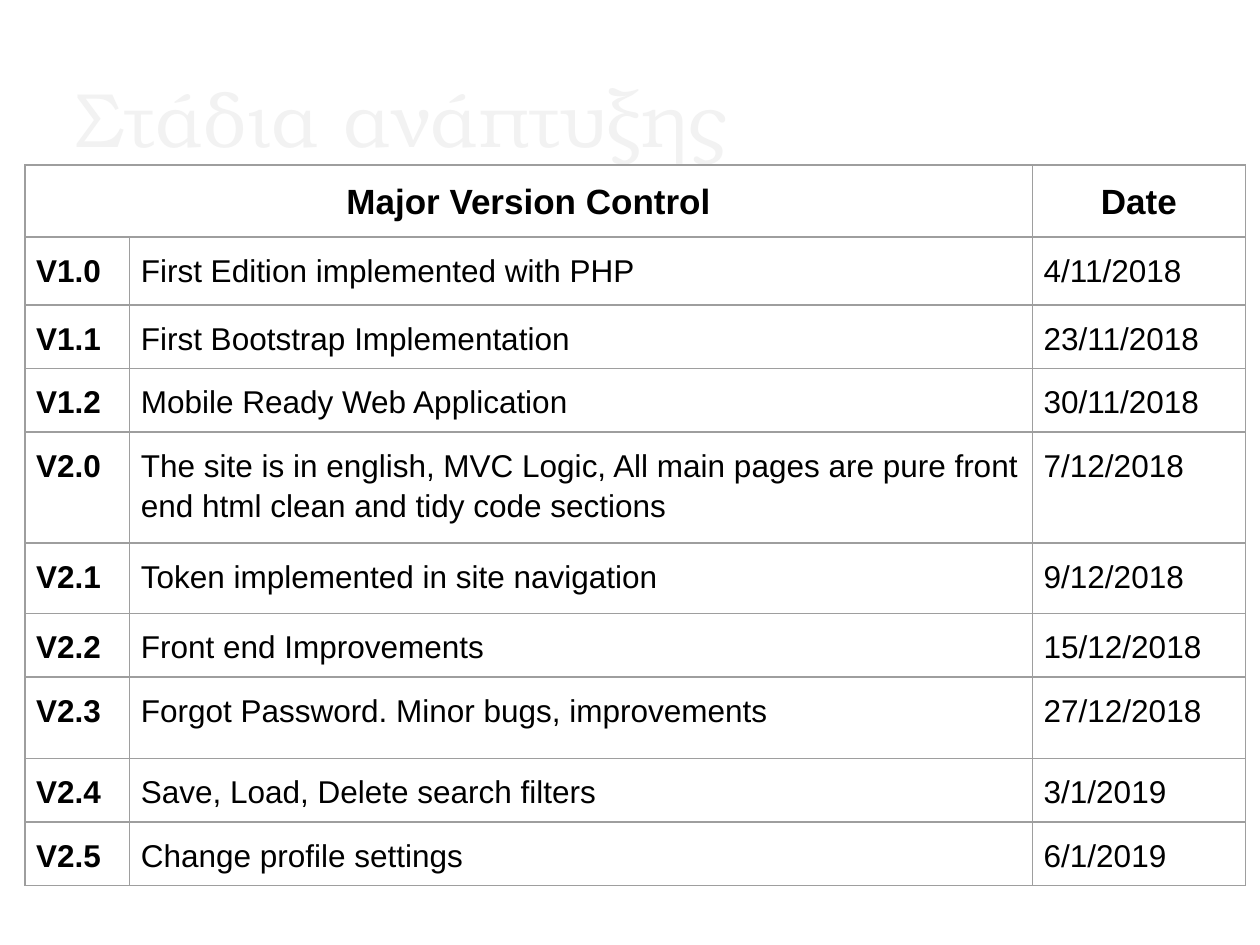
"""Build a slide with the version history of a web application."""
from typing import NamedTuple

from lxml.etree import SubElement
from pptx import Presentation
from pptx.dml.color import RGBColor
from pptx.enum.text import MSO_ANCHOR, PP_ALIGN
from pptx.oxml.ns import qn
from pptx.util import Cm, Pt

COLORS = {"title": "F2F2F2", "text": "000000", "border": "9E9E9E"}
COL_WIDTHS = (2.11, 18.2, 4.3)


class Version(NamedTuple):
    name: str
    change: str
    date: str
    height: float


HEADER = Version("Major Version Control", "", "Date", 1.45)
VERSIONS = [
    Version("V1.0", "First Edition implemented with PHP", "4/11/2018", 1.37),
    Version("V1.1", "First Bootstrap Implementation", "23/11/2018", 1.25),
    Version("V1.2", "Mobile Ready Web Application", "30/11/2018", 1.25),
    Version("V2.0", "The site is in english, MVC Logic, All main pages are pure front "
            "end html clean and tidy code sections", "7/12/2018", 2.24),
    Version("V2.1", "Token implemented in site navigation", "9/12/2018", 1.42),
    Version("V2.2", "Front end Improvements", "15/12/2018", 1.25),
    Version("V2.3", "Forgot Password. Minor bugs, improvements", "27/12/2018", 1.65),
    Version("V2.4", "Save, Load, Delete search filters", "3/1/2019", 1.25),
    Version("V2.5", "Change profile settings", "6/1/2019", 1.25),
]


def set_font(p, name: str, size: int, color: str, bold: bool = False) -> None:
    font = p.font
    font.name, font.size, font.bold = name, Pt(size), bold
    font.color.rgb = RGBColor.from_string(COLORS[color])


def add_borders(cell) -> None:
    tc_pr = cell._tc.get_or_add_tcPr()
    for i, side in enumerate(("lnL", "lnR", "lnT", "lnB")):
        ln = tc_pr.makeelement(qn(f"a:{side}"), {"w": str(Pt(1))})
        fill = SubElement(ln, qn("a:solidFill"))
        SubElement(fill, qn("a:srgbClr"), val=COLORS["border"])
        tc_pr.insert(i, ln)


def fill_cell(cell, text: str, size: int, bold: bool, align: PP_ALIGN) -> None:
    cell.margin_left = cell.margin_right = Cm(0.23)
    cell.margin_top = cell.margin_bottom = Cm(0.23)
    cell.fill.background()
    add_borders(cell)
    p = cell.text_frame.paragraphs[0]
    p.text, p.alignment, p.line_spacing = text, align, 1.15
    set_font(p, "Arial", size, "text", bold)


def add_title(slide, text: str) -> None:
    sp = slide.shapes.title
    sp.left, sp.top, sp.width, sp.height = Cm(1.27), Cm(0.76), Cm(22.86), Cm(3.18)
    tf = sp.text_frame
    tf.vertical_anchor = MSO_ANCHOR.MIDDLE
    p = tf.paragraphs[0]
    p.text, p.alignment = text, PP_ALIGN.LEFT
    set_font(p, "TeX Gyre Bonum", 44, "title")


def add_versions(slide, rows: list[Version]) -> None:
    height = sum(row.height for row in rows)
    table = slide.shapes.add_table(len(rows), len(COL_WIDTHS), Cm(0.5), Cm(3.33),
                                   Cm(sum(COL_WIDTHS)), Cm(height)).table
    table.first_row = table.horz_banding = False
    for col, width in zip(table.columns, COL_WIDTHS):
        col.width = Cm(width)
    for i, row in enumerate(rows):
        table.rows[i].height = Cm(row.height)
        head = i == 0
        for j, text in enumerate((row.name, row.change, row.date)):
            fill_cell(table.cell(i, j), text, 20 if head else 18, head or j == 0,
                      PP_ALIGN.CENTER if head else PP_ALIGN.LEFT)
    table.cell(0, 0).merge(table.cell(0, 1))


def main() -> None:
    prs = Presentation()
    prs.slide_width, prs.slide_height = Cm(25.4), Cm(19.05)
    slide = prs.slides.add_slide(prs.slide_layouts[5])
    add_title(slide, "Στάδια ανάπτυξης")
    add_versions(slide, [HEADER, *VERSIONS])
    prs.save("out.pptx")


if __name__ == "__main__":
    main()
